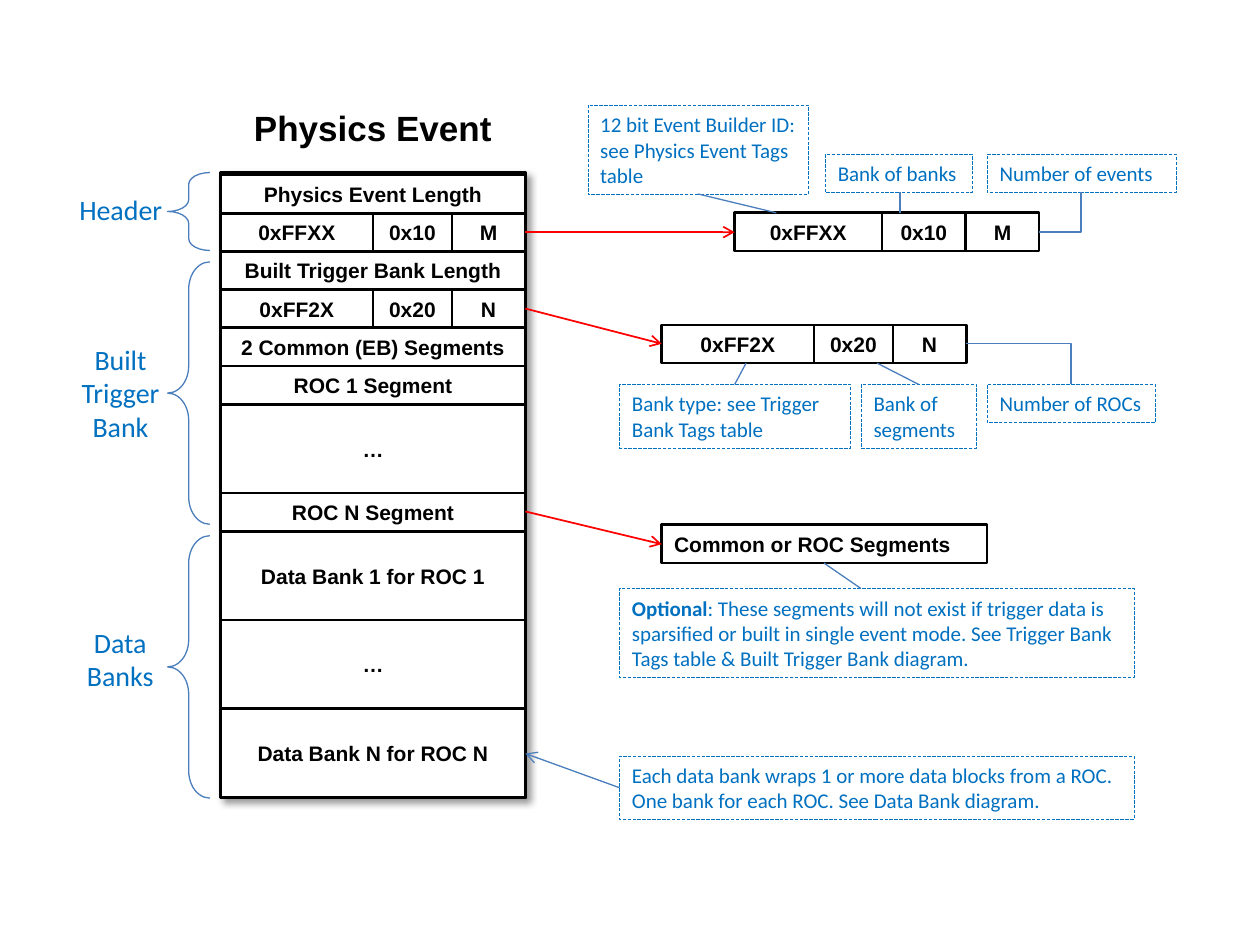
from dataclasses import dataclass

from lxml.etree import SubElement
from pptx import Presentation
from pptx.dml.color import RGBColor
from pptx.enum.dml import MSO_LINE as Dash
from pptx.enum.shapes import MSO_CONNECTOR as Link, MSO_SHAPE as Kind
from pptx.enum.text import MSO_ANCHOR as Anchor, MSO_AUTO_SIZE as Fit, PP_ALIGN as Align
from pptx.oxml.ns import qn
from pptx.util import Cm, Pt

BLACK = RGBColor(0, 0, 0)
WHITE = RGBColor(255, 255, 255)
BLUE = RGBColor(0x00, 0x70, 0xC0)
STEEL = RGBColor(0x4B, 0x7E, 0xBC)
RED = RGBColor(255, 0, 0)

LEFT, TOP, WIDTH = 4.45, 3.53, 6.14
LOW, HIGH = 0.77, 1.79


@dataclass
class Row:
    """A row of cells, with the width of each cell."""
    texts: tuple
    widths: tuple = (WIDTH,)
    high: float = LOW


@dataclass
class Note:
    """A dashed box with an optional bold lead."""
    x: float
    y: float
    w: float
    h: float
    text: str
    lead: str = ""


@dataclass
class Brace:
    """A left brace with its label box."""
    y: float
    h: float
    bend: float
    text: str
    x: float
    top: float
    w: float
    high: float


@dataclass
class Line:
    """A straight or bent line between two points."""
    x1: float
    y1: float
    x2: float
    y2: float
    color: RGBColor = STEEL
    arrow: bool = False
    bent: bool = False


FFXX = ("0xFFXX", "0x10", "M")
FF2X = ("0xFF2X", "0x20", "N")
SPLIT = (3.07, 1.59, 1.48)

ROWS = [
    Row(("Physics Event Length",)),
    Row(FFXX, SPLIT),
    Row(("Built Trigger Bank Length",)),
    Row(FF2X, SPLIT),
    Row(("2 Common (EB) Segments",)),
    Row(("ROC 1 Segment",)),
    Row(("…",), high=HIGH),
    Row(("ROC N Segment",)),
    Row(("Data Bank 1 for ROC 1",), high=HIGH),
    Row(("…",), high=HIGH),
    Row(("Data Bank N for ROC N",), high=HIGH),
]
DETAILS = [
    (14.81, 4.29, Row(FFXX, (2.97, 1.69, 1.48))),
    (13.34, 6.55, Row(FF2X, SPLIT)),
    (13.34, 10.58, Row(("Common or ROC Segments",), (6.56,))),
]
NOTES = [
    Note(11.85, 2.12, 4.45, 1.8, "12 bit Event Builder ID:\nsee Physics Event Tags table"),
    Note(16.64, 3.11, 2.96, LOW, "Bank of banks"),
    Note(19.9, 3.11, 3.81, LOW, "Number of events"),
    Note(12.49, 7.75, 4.66, 1.28, "Bank type: see Trigger Bank Tags table"),
    Note(17.36, 7.75, 2.33, 1.28, "Bank of segments"),
    Note(19.9, 7.75, 3.39, LOW, "Number of ROCs"),
    Note(12.49, 11.86, 10.37, 1.8,
         ": These segments will not exist if trigger data is sparsified or built in "
         "single event mode. See Trigger Bank Tags table & Built Trigger Bank diagram.",
         "Optional"),
    Note(12.49, 15.24, 10.37, 1.28,
         "Each data bank wraps 1 or more data blocks from a ROC.\n"
         "One bank for each ROC. See Data Bank diagram."),
]
BRACES = [
    Brace(3.48, 1.57, 0.281, "Header", 1.27, 3.76, 2.33, 0.94),
    Brace(5.28, 5.29, 0.646, "Built Trigger Bank", 1.37, 6.76, 2.12, 2.31),
    Brace(10.8, 5.29, 0.646, "Data Banks", 1.47, 12.47, 1.91, 1.63),
]
LINES = [
    Line(10.59, 4.68, 14.81, 4.68, RED, True),
    Line(10.59, 6.22, 13.34, 6.93, RED, True),
    Line(10.59, 10.31, 13.34, 10.97, RED, True),
    Line(12.49, 15.88, 10.59, 15.19, arrow=True),
    Line(14.07, 3.91, 15.65, 4.29),
    Line(18.14, 3.88, 18.14, 4.29),
    Line(14.81, 7.75, 15.04, 7.32),
    Line(18.52, 7.75, 17.68, 7.32),
    Line(17.35, 11.86, 16.61, 11.35),
    Line(20.95, 4.68, 21.79, 3.88, bent=True),
    Line(19.48, 6.93, 21.59, 7.75, bent=True),
]


def write(shape, text, *, size=12, font="Calibri", color=BLUE, bold=False,
          align=Align.LEFT, anchor=Anchor.MIDDLE, lead="", pad=(0.25, 0.13)):
    """Put formatted text in a shape, one paragraph per line."""
    frame = shape.text_frame
    frame.word_wrap, frame.auto_size = True, Fit.NONE
    frame.vertical_anchor = anchor
    frame.margin_left = frame.margin_right = Cm(pad[0])
    frame.margin_top = frame.margin_bottom = Cm(pad[1])
    for num, part in enumerate(text.split("\n")):
        para = frame.add_paragraph() if num else frame.paragraphs[0]
        para.alignment = align
        pairs = [(part, bold)] if num or not lead else [(lead, True), (part, bold)]
        for words, heavy in pairs:
            run = para.add_run()
            run.text = words
            run.font.size, run.font.name, run.font.bold = Pt(size), font, heavy
            run.font.color.rgb = color


def shade():
    """Return a soft outer shadow element."""
    root = SubElement(SubElement(Presentation().slides._sldIdLst, "holder"),
                      qn("a:effectLst"))
    glow = SubElement(root, qn("a:outerShdw"), blurRad=str(Pt(4)), dist=str(Pt(3)),
                      dir="2700000", algn="tl", rotWithShape="0")
    tint = SubElement(glow, qn("a:srgbClr"), val="000000")
    SubElement(tint, qn("a:alpha"), val="40000")
    return root


def draw(slide, kind, x, y, w, h, color, width, fill=None):
    """Add an outlined preset shape."""
    shape = slide.shapes.add_shape(kind, Cm(x), Cm(y), Cm(w), Cm(h))
    shape.shadow.inherit = False
    shape.line.color.rgb, shape.line.width = color, Pt(width)
    if fill is None:
        shape.fill.background()
    else:
        shape.fill.solid()
        shape.fill.fore_color.rgb = fill
    return shape


def cells(slide, x, y, row, align=Align.CENTER):
    """Draw the cells of a row side by side."""
    for text, wide in zip(row.texts, row.widths):
        box = draw(slide, Kind.RECTANGLE, x, y, wide, row.high, BLACK, 1.5, WHITE)
        pad = (0.25, 0) if align == Align.LEFT else (0, 0)
        write(box, text, font="Arial", color=BLACK, bold=True, align=align, pad=pad)
        x += wide


def join(slide, line):
    """Draw a line, with a bend or an arrowhead if asked."""
    kind = Link.ELBOW if line.bent else Link.STRAIGHT
    ends = map(Cm, (line.x1, line.y1, line.x2, line.y2))
    wire = slide.shapes.add_connector(kind, *ends)
    wire.line.color.rgb = line.color
    wire.line.width = Pt(1 if line.color == RED else 0.75)
    prop = wire._element.spPr
    if line.bent:
        prop.find(qn("a:prstGeom")).set("prst", "bentConnector2")
    if line.arrow:
        SubElement(prop.find(qn("a:ln")), qn("a:tailEnd"), type="arrow")
    SubElement(prop, qn("a:effectLst"))


def main():
    """Build and save the slide."""
    deck = Presentation()
    deck.slide_width, deck.slide_height = Cm(25.4), Cm(19.05)
    slide = deck.slides.add_slide(deck.slide_layouts[5])

    title = slide.shapes.title
    title.left, title.top, title.width, title.height = map(Cm, (4.87, 2.01, 5.72, 1.12))
    write(title, "Physics Event", size=20, font="Arial", color=BLACK, bold=True,
          anchor=Anchor.TOP)
    prop = title.text_frame.paragraphs[0].runs[0]._r.rPr
    prop.find(qn("a:solidFill")).addnext(shade())

    high = sum(row.high for row in ROWS)
    frame = draw(slide, Kind.RECTANGLE, LEFT, 3.48, WIDTH, TOP + high - 3.48,
                 BLACK, 2, WHITE)
    prop = frame._element.spPr
    prop.replace(prop.find(qn("a:effectLst")), shade())
    y = TOP
    for row in ROWS:
        cells(slide, LEFT, y, row)
        y += row.high

    for x, y, row in DETAILS:
        cells(slide, x, y, row, Align.CENTER if len(row.texts) > 1 else Align.LEFT)
    for note in NOTES:
        box = draw(slide, Kind.RECTANGLE, note.x, note.y, note.w, note.h, BLUE, 0.25)
        box.line.dash_style = Dash.LONG_DASH
        write(box, note.text, lead=note.lead)
    for item in BRACES:
        brace = draw(slide, Kind.LEFT_BRACE, 3.38, item.y, 0.85, item.h, STEEL, 0.75)
        brace.adjustments[0] = item.bend
        label = slide.shapes.add_textbox(*map(Cm, (item.x, item.top, item.w, item.high)))
        write(label, item.text, size=16, align=Align.CENTER)
    for line in LINES:
        join(slide, line)
    deck.save("out.pptx")


main()
